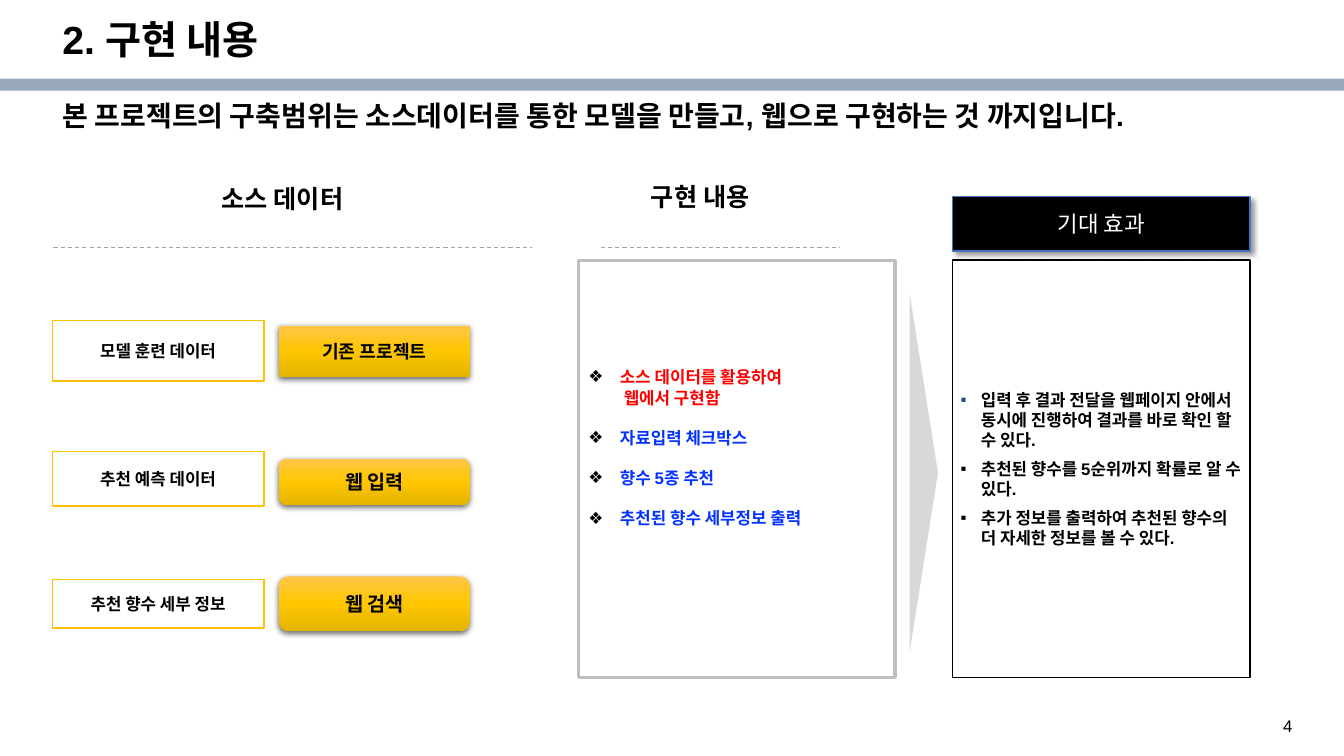
from pptx import Presentation
from pptx.dml.color import RGBColor
from pptx.enum.dml import MSO_LINE
from pptx.enum.shapes import MSO_CONNECTOR, MSO_SHAPE
from pptx.enum.text import MSO_ANCHOR, MSO_AUTO_SIZE, PP_ALIGN
from pptx.oxml.ns import qn
from pptx.util import Pt
from lxml.etree import SubElement

BLACK = RGBColor(0x00, 0x00, 0x00)
WHITE = RGBColor(0xFF, 0xFF, 0xFF)
RED = RGBColor(0xFF, 0x00, 0x00)
BLUE = RGBColor(0x04, 0x32, 0xFF)
NAVY = RGBColor(0x1F, 0x49, 0x7D)
HEADER_EDGE = RGBColor(0x44, 0x72, 0xC4)
BAND = RGBColor(0x98, 0xA8, 0xBD)
AMBER = RGBColor(0xFF, 0xC0, 0x00)
DASH_GREY = RGBColor(0xA5, 0xA5, 0xA5)
FRAME_GREY = RGBColor(0xBF, 0xBF, 0xBF)
ARROW_GREY = RGBColor(0xD8, 0xD8, 0xD8)
GOLD_STOPS = [(0, RGBColor(0xFF, 0xC6, 0x47)), (50, RGBColor(0xFF, 0xC6, 0x00)),
              (100, RGBColor(0xE3, 0xB4, 0x00))]

TITLE = "2. 구현 내용"
SUMMARY = "본 프로젝트의 구축범위는 소스데이터를 통한 모델을 만들고, 웹으로 구현하는 것 까지입니다."
PAGE_NUMBER = "4"

# heading, text left, text top, text width, rule start, rule end
HEADINGS = [
    ("소스 데이터", 151.2, 127.4, 103.7, 38.2, 380.2),
    ("구현 내용", 457.9, 126, 86.4, 429.1, 599.8),
]
# label, label top, label height, button, button shape, size, button top, button height
SOURCES = [
    ("모델 훈련 데이터", 229, 43.2, "기존 프로젝트", MSO_SHAPE.RECTANGLE, 13, 232.6, 36.7),
    ("추천 예측 데이터", 322.6, 38.9, "웹 입력", MSO_SHAPE.ROUNDED_RECTANGLE, 14, 327.6, 33.1),
    ("추천 향수 세부 정보", 414, 34.6, "웹 검색", MSO_SHAPE.ROUNDED_RECTANGLE, 14, 411.8, 38.9),
]
# lines, text colour, bullet colour
FEATURES = [
    (["소스 데이터를 활용하여", " 웹에서 구현함"], RED, BLACK),
    (["자료입력 체크박스"], BLUE, BLACK),
    (["향수 5종 추천"], BLUE, BLACK),
    (["추천된 향수 세부정보 출력"], BLUE, BLACK),
]
EFFECT_HEADER = "기대 효과"
EFFECTS = [
    (["입력 후 결과 전달을 웹페이지 안에서 동시에 진행하여 결과를 바로 확인 할 수 있다."], BLACK, NAVY),
    (["추천된 향수를 5순위까지 확률로 알 수 있다."], BLACK, BLACK),
    (["추가 정보를 출력하여 추천된 향수의 더 자세한 정보를 볼 수 있다."], BLACK, BLACK),
]

PAGE_WIDTH, PAGE_HEIGHT = 960, 540
MARGIN = 37.4
LABEL_WIDTH = 151.2
BUTTON_LEFT, BUTTON_WIDTH = 199.4, 136.1
RULE_Y = 177.1
PANEL_TOP, PANEL_HEIGHT = 185.8, 298.1
FEATURE_LEFT, FEATURE_WIDTH = 413.3, 226.1
EFFECT_LEFT, EFFECT_WIDTH = 680.4, 212.4


def add_span(para, text, size, color=BLACK, bold=True, font="Arial"):
    span = para.add_run()
    span.text = text
    span.font.name = font
    span.font.size = Pt(size)
    span.font.bold = bold
    span.font.color.rgb = color


def set_frame(frame, anchor, insets=(7.2, 3.6, 7.2, 3.6)):
    frame.word_wrap = True
    frame.auto_size = MSO_AUTO_SIZE.NONE
    frame.vertical_anchor = anchor
    (frame.margin_left, frame.margin_top,
     frame.margin_right, frame.margin_bottom) = map(Pt, insets)


def place(shape, *bounds):
    shape.left, shape.top, shape.width, shape.height = map(Pt, bounds)


def add_box(page, kind, bounds, fill, edge=None, weight=1):
    box = page.shapes.add_shape(kind, *map(Pt, bounds))
    box.shadow.inherit = False
    box.fill.solid()
    box.fill.fore_color.rgb = fill
    if edge is None:
        box.line.fill.background()
    else:
        box.line.color.rgb = edge
        box.line.width = Pt(weight)
    set_frame(box.text_frame, MSO_ANCHOR.MIDDLE)
    return box


def add_centred(box, text, *style):
    para = box.text_frame.paragraphs[0]
    para.alignment = PP_ALIGN.CENTER
    add_span(para, text, *style)


def add_text(page, bounds, text, size, bold=True):
    box = page.shapes.add_textbox(*map(Pt, bounds))
    set_frame(box.text_frame, MSO_ANCHOR.TOP)
    add_span(box.text_frame.paragraphs[0], text, size, BLACK, bold)


def add_shadow(box, opacity, blur, distance, angle):
    effects = box._element.spPr.find(qn("a:effectLst"))
    shadow = SubElement(effects, qn("a:outerShdw"), blurRad=str(Pt(blur)),
                        dist=str(Pt(distance)), dir=str(angle * 60000),
                        algn="ctr", rotWithShape="0")
    color = SubElement(shadow, qn("a:srgbClr"), val=str(BLACK))
    SubElement(color, qn("a:alpha"), val=str(opacity * 1000))


def fill_gold(box):
    box.fill.gradient()
    box.fill.gradient_angle = 270
    stops = box._element.spPr.find(qn("a:gradFill")).find(qn("a:gsLst"))
    for stop in list(stops):
        stops.remove(stop)
    for position, color in GOLD_STOPS:
        stop = SubElement(stops, qn("a:gs"), pos=str(position * 1000))
        SubElement(stop, qn("a:srgbClr"), val=str(color))


def add_dashed_rule(page, start, end):
    rule = page.shapes.add_connector(MSO_CONNECTOR.STRAIGHT, Pt(start), Pt(RULE_Y),
                                     Pt(end), Pt(RULE_Y))
    rule.line.color.rgb = DASH_GREY
    rule.line.width = Pt(0.75)
    rule.line.dash_style = MSO_LINE.DASH
    SubElement(rule._element.spPr, qn("a:effectLst"))


def add_bullets(box, items, symbol, indent, gap):
    frame = box.text_frame
    for index, (lines, color, bullet_color) in enumerate(items):
        para = frame.add_paragraph() if index else frame.paragraphs[0]
        para.alignment = PP_ALIGN.LEFT
        para.space_before = Pt(gap if index else 0)
        properties = para._p.get_or_add_pPr()
        properties.set("marL", str(Pt(indent)))
        properties.set("indent", str(-Pt(indent)))
        tint = SubElement(properties, qn("a:buClr"))
        SubElement(tint, qn("a:srgbClr"), val=str(bullet_color))
        SubElement(properties, qn("a:buFont"), typeface="Arial")
        SubElement(properties, qn("a:buChar"), char=symbol)
        for number, line in enumerate(lines):
            if number:
                para.add_line_break()
            add_span(para, line, 12, color)


def fill_placeholder(holder, bounds, text, size):
    place(holder, *bounds)
    set_frame(holder.text_frame, MSO_ANCHOR.TOP)
    para = holder.text_frame.paragraphs[0]
    para.alignment = PP_ALIGN.LEFT
    para.line_spacing = 0.9
    para.space_before = Pt(0)
    properties = para._p.get_or_add_pPr()
    properties.set("marL", "0")
    properties.set("indent", "0")
    SubElement(properties, qn("a:buNone"))
    add_span(para, text, size)


def main():
    deck = Presentation()
    deck.slide_width, deck.slide_height = Pt(PAGE_WIDTH), Pt(PAGE_HEIGHT)
    page = deck.slides.add_slide(deck.slide_layouts[1])

    fill_placeholder(page.shapes.title, (MARGIN, 10.8, 828, 38.2), TITLE, 28)
    fill_placeholder(page.placeholders[1], (MARGIN, 69.1, 864.7, 51.1), SUMMARY, 20)
    add_box(page, MSO_SHAPE.RECTANGLE, (0, 56.2, PAGE_WIDTH, 8.6), BAND)
    add_text(page, (909.4, 507.6, 37.4, 19.4), PAGE_NUMBER, 12, False)

    for heading, left, top, width, start, end in HEADINGS:
        add_text(page, (left, top, width, 28.8), heading, 18)
        add_dashed_rule(page, start, end)

    for label, top, height, action, kind, size, button_top, button_height in SOURCES:
        box = add_box(page, MSO_SHAPE.RECTANGLE, (MARGIN, top, LABEL_WIDTH, height), WHITE, AMBER)
        add_centred(box, label, 12)
        button = add_box(page, kind, (BUTTON_LEFT, button_top, BUTTON_WIDTH, button_height), AMBER)
        fill_gold(button)
        add_shadow(button, 62, 4.5, 1.5, 90)
        add_centred(button, action, size)

    features = add_box(page, MSO_SHAPE.RECTANGLE,
                       (FEATURE_LEFT, PANEL_TOP, FEATURE_WIDTH, PANEL_HEIGHT),
                       WHITE, FRAME_GREY, 2.25)
    set_frame(features.text_frame, MSO_ANCHOR.MIDDLE, (7.2, 3.6, 7.2, 33.6))
    add_bullets(features, FEATURES, "❖", 22.5, 14.4)

    arrow = add_box(page, MSO_SHAPE.ISOSCELES_TRIANGLE, (532.1, 327.6, 255.6, 20.2), ARROW_GREY)
    arrow.rotation = 90

    header = add_box(page, MSO_SHAPE.RECTANGLE, (EFFECT_LEFT, 140.4, EFFECT_WIDTH, 38.9),
                     BLACK, HEADER_EDGE)
    add_shadow(header, 40, 4, 3, 45)
    add_centred(header, EFFECT_HEADER, 16, WHITE, False, "Karla")

    effects = add_box(page, MSO_SHAPE.RECTANGLE,
                      (EFFECT_LEFT, PANEL_TOP, EFFECT_WIDTH, PANEL_HEIGHT), WHITE, BLACK)
    set_frame(effects.text_frame, MSO_ANCHOR.MIDDLE, (5.8, 5.8, 5.8, 5.8))
    add_bullets(effects, EFFECTS, "▪", 14.4, 6)

    deck.save("out.pptx")


if __name__ == "__main__":
    main()
